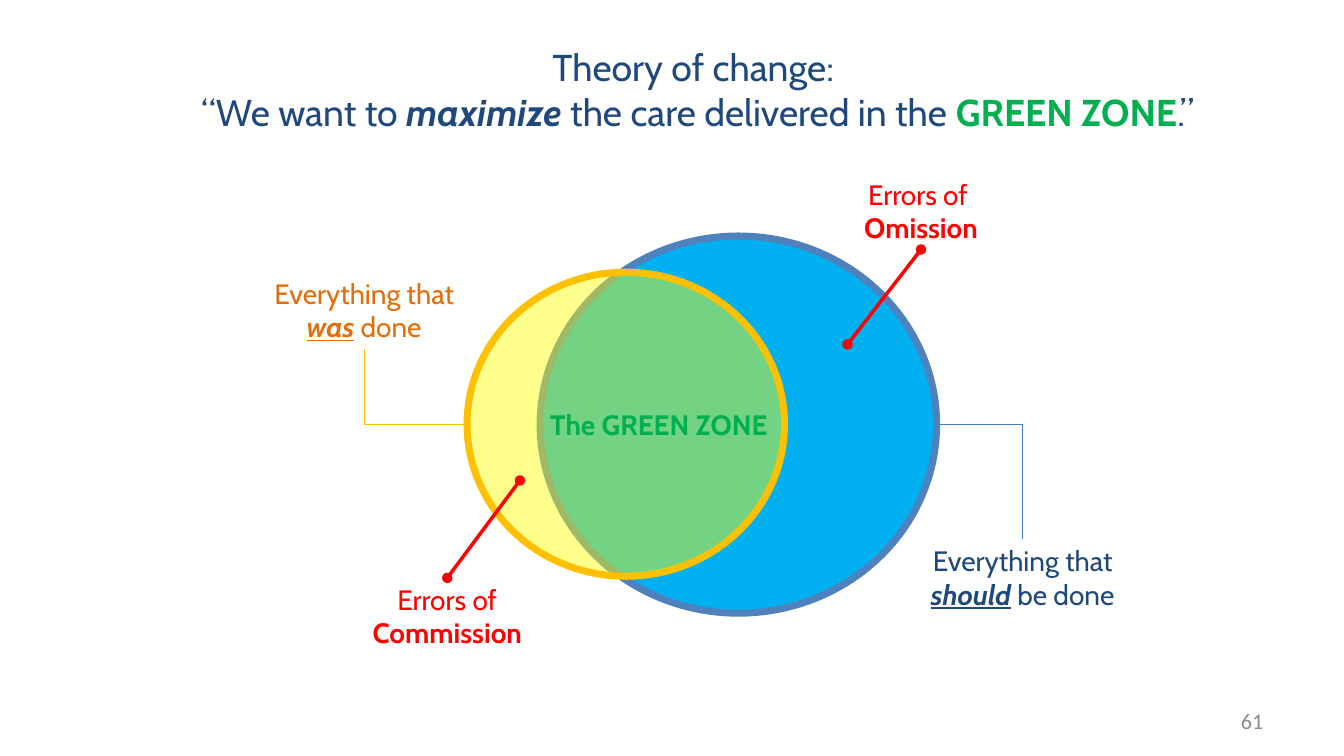
from lxml import etree
from pptx import Presentation
from pptx.dml.color import RGBColor
from pptx.enum.shapes import MSO_CONNECTOR, MSO_SHAPE
from pptx.enum.text import MSO_ANCHOR, MSO_AUTO_SIZE, PP_ALIGN
from pptx.oxml.ns import qn
from pptx.util import Inches, Pt

STRAIGHT, ELBOW = MSO_CONNECTOR.STRAIGHT, MSO_CONNECTOR.ELBOW
OVAL = MSO_SHAPE.OVAL
MIDDLE = MSO_ANCHOR.MIDDLE
GROW, FIXED = MSO_AUTO_SIZE.SHAPE_TO_FIT_TEXT, MSO_AUTO_SIZE.NONE
CENTER, RIGHT = PP_ALIGN.CENTER, PP_ALIGN.RIGHT
TOP, BOTTOM = 0, 2

COLORS = {
    "navy": "1F497D", "orange": "E46C0A", "red": "FF0000", "green": "00B050",
    "sky": "00B0F0", "blue": "4F81BD", "thin_blue": "4B7EBC",
    "yellow": "FFFF00", "gold": "FFC000", "gray": "8C8C8C",
}
BOLD = {"bold": True}
STRONG = {"bold": True, "italic": True}
STRESS = {"bold": True, "italic": True, "underline": True}
LABEL_W, LABEL_H = 2.83, 0.91


def rgb(name):
    return RGBColor.from_string(COLORS[name])


class Deck:
    def __init__(self, prs, font="Cabin", size=24):
        self.slide = prs.slides.add_slide(prs.slide_layouts[6])
        self.font, self.size = font, size

    def circle(self, x, y, w, h, fill, line, alpha=None):
        sp = self.slide.shapes.add_shape(OVAL, *map(Inches, (x, y, w, h)))
        sp.shadow.inherit = False
        sp.fill.solid()
        sp.fill.fore_color.rgb = rgb(fill)
        sp.line.color.rgb = rgb(line)
        sp.line.width = Pt(6)
        if alpha is not None:
            color = sp.fill._xPr.find(".//" + qn("a:srgbClr"))
            etree.SubElement(color, qn("a:alpha")).set("val", str(alpha * 1000))

    def text(self, x, y, paragraphs, color, w=LABEL_W, h=LABEL_H,
             align=CENTER, **frame):
        """Each paragraph is a list of (text, font format) runs."""
        box = self.slide.shapes.add_textbox(*map(Inches, (x, y, w, h)))
        tf = box.text_frame
        for key, value in {"word_wrap": True, "auto_size": GROW, **frame}.items():
            setattr(tf, key, value)
        for i, runs in enumerate(paragraphs):
            p = tf.add_paragraph() if i else tf.paragraphs[0]
            p.alignment = align
            for text, fmt in runs:
                r = p.add_run()
                r.text = text
                fmt = {"name": self.font, "size": Pt(self.size), "color": color, **fmt}
                r.font.color.rgb = rgb(fmt.pop("color"))
                for key, value in fmt.items():
                    setattr(r.font, key, value)
        return box

    def connector(self, kind, x1, y1, x2, y2, color, width):
        cxn = self.slide.shapes.add_connector(kind, *map(Inches, (x1, y1, x2, y2)))
        cxn.line.color.rgb = rgb(color)
        cxn.line.width = Pt(width)
        etree.SubElement(cxn._element.spPr, qn("a:effectLst"))
        return cxn

    def elbow(self, x1, y1, x2, y2, color):
        """One bend: across first, then up or down."""
        cxn = self.connector(ELBOW, x1, y1, x2, y2, color, 0.75)
        cxn._element.spPr.find(qn("a:prstGeom")).set("prst", "bentConnector2")

    def pointer(self, x1, y1, x2, y2):
        cxn = self.connector(STRAIGHT, x1, y1, x2, y2, "red", 3)
        ln = cxn.line._get_or_add_ln()
        for end in ("a:headEnd", "a:tailEnd"):
            etree.SubElement(ln, qn(end)).set("type", "oval")
        return cxn


def main():
    prs = Presentation()
    prs.slide_width, prs.slide_height = Inches(16), Inches(9)
    s = Deck(prs)

    # Overlapping circles
    s.circle(6.43, 2.81, 4.72, 4.49, "sky", "blue")
    s.circle(5.56, 3.24, 3.78, 3.62, "yellow", "gold", alpha=45)

    # Circle labels with their leader lines
    s.text(10.76, 6.42, [[("Everything that ", {}), ("should", STRESS),
                          (" be done", {})]], "navy")
    s.elbow(11.15, 5.05, 12.17, 6.42, "thin_blue")
    s.text(2.92, 3.24, [[("Everything that ", {}), ("was", STRESS),
                         (" done", {})]], "orange")
    s.elbow(5.56, 5.05, 4.34, 4.15, "gold")

    # Errors, each tied to its region
    commission = s.text(3.91, 6.88, [[("Errors of ", {}), ("Commission", BOLD)]], "red")
    s.pointer(6.19, 5.72, 5.32, 6.88).end_connect(commission, TOP)
    omission = s.text(9.55, 2.06, [[("Errors of ", {})], [("Omission", BOLD)]], "red")
    s.pointer(10.96, 2.97, 10.09, 4.1).begin_connect(omission, BOTTOM)

    # Overlap label
    s.text(6.43, 4.8, [[("The GREEN ZONE", BOLD)]], "green", h=0.5)

    # Slide number
    s.text(11.47, 8.34, [[("61", {"name": "Calibri", "size": Pt(19)})]], "gray",
           w=3.73, h=0.48, align=RIGHT, auto_size=FIXED, vertical_anchor=MIDDLE,
           margin_left=Inches(0.16), margin_right=Inches(0.16),
           margin_top=Inches(0.08), margin_bottom=Inches(0.08))

    # Title
    s.size = 32
    s.text(2.24, 0.48, [
        [("Theory of change: ", {})],
        [("“We want to ", {}), ("maximize", STRONG),
         (" the care delivered in the ", {}),
         ("GREEN ZONE", {"bold": True, "color": "green"}), (".”", {})],
    ], "navy", w=12.13, h=1.18, word_wrap=False)

    prs.save("out.pptx")


if __name__ == "__main__":
    main()
